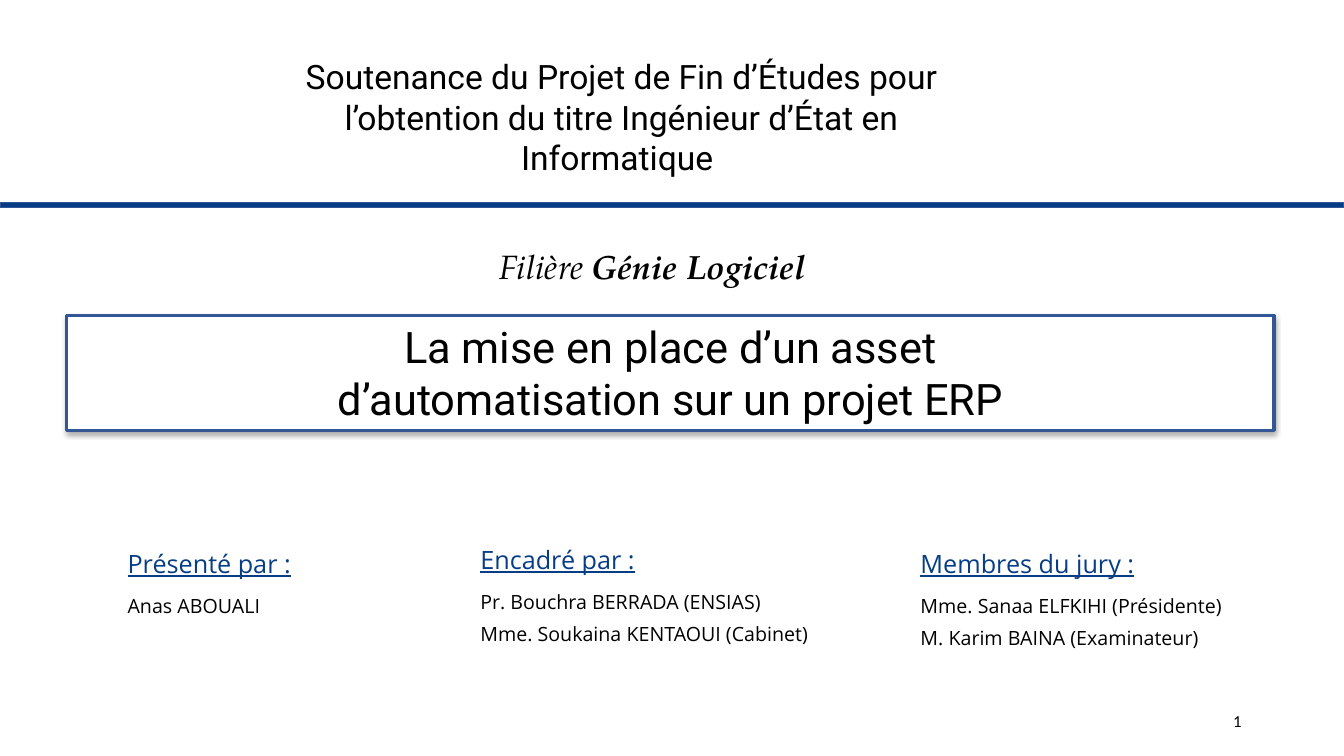
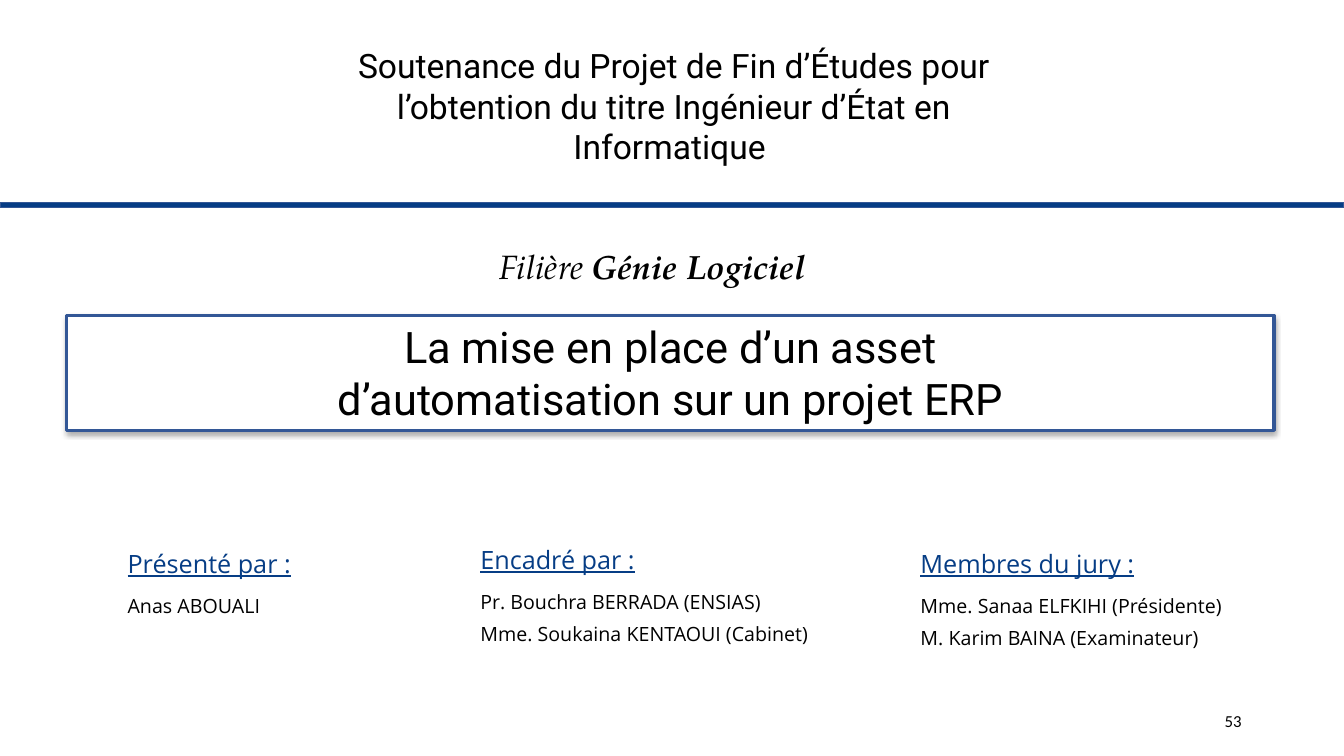
from dataclasses import dataclass

import lxml.etree
import pptx
import pptx.dml.color
import pptx.enum.shapes
import pptx.enum.text
import pptx.oxml.ns
import pptx.util

ALIGN = pptx.enum.text.PP_ALIGN
ANCHOR = pptx.enum.text.MSO_ANCHOR
RECTANGLE = pptx.enum.shapes.MSO_SHAPE.RECTANGLE

# Grid: 80 columns by 45 rows over the whole slide
SLIDE_WIDTH = pptx.util.Inches(13.33)
SLIDE_HEIGHT = pptx.util.Inches(7.5)
COLUMNS, ROWS = 80, 45


@dataclass(frozen=True)
class Theme:
    black: str = "000000"
    white: str = "FFFFFF"
    navy: str = "063D85"
    blue: str = "335796"
    display_font: str = "Roboto"
    body_font: str = "Open Sans"
    serif_font: str = "TeX Gyre Pagella"
    number_font: str = "Calibri"
    subject_size: float = 31
    title_size: float = 24
    heading_size: float = 18
    name_size: float = 14
    number_size: float = 12
    heading_gap: float = 11
    name_gap: float = 6


THEME = Theme()


@dataclass(frozen=True)
class Area:
    column: float
    row: float
    columns: float
    rows: float

    def box(self) -> tuple[int, int, int, int]:
        """Left, top, width and height in slide units."""
        cell_width, cell_height = SLIDE_WIDTH / COLUMNS, SLIDE_HEIGHT / ROWS
        return (round(self.column * cell_width), round(self.row * cell_height),
                round(self.columns * cell_width), round(self.rows * cell_height))


@dataclass(frozen=True)
class Run:
    text: str
    size: float
    font: str
    color: str = THEME.black
    bold: bool = False
    italic: bool = False
    underline: bool = False


@dataclass(frozen=True)
class Line:
    runs: tuple[Run, ...]
    space_before: float = 0


@dataclass(frozen=True)
class People:
    heading: str
    names: tuple[str, ...]
    area: Area


@dataclass(frozen=True)
class Cover:
    title_area: Area
    number: str


# Content
TITLE = ("Soutenance du Projet de Fin d’Études pour l’obtention du titre "
         "Ingénieur d’État en Informatique ")
SUBJECT = ("La mise en place d’un asset", "d’automatisation sur un projet ERP")
PEOPLE = (
    People("Présenté par :", ("Anas ABOUALI",), Area(7, 32.34, 20, 5)),
    People("Encadré par :",
           ("Pr. Bouchra BERRADA (ENSIAS)", "Mme. Soukaina KENTAOUI (Cabinet)"),
           Area(28, 32.1, 24, 7)),
    People("Membres du jury :",
           ("Mme. Sanaa ELFKIHI (Présidente)", "M. Karim BAINA (Examinateur)"),
           Area(54.2, 32.34, 25.8, 7)),
)
COVERS = (
    Cover(Area(16.92, 3.06, 40.14, 7.86), "1"),
    Cover(Area(20.04, 2.4, 40.14, 7.86), "53"),
)
RULE_AREA = Area(0, 12.06, COLUMNS, 0.3)
FIELD_AREA = Area(29, 14.34, 19.68, 3)
SUBJECT_AREA = Area(3.96, 18.78, 71.88, 6.84)
NUMBER_AREA = Area(56.5, 41.7, 18, 2.4)


def rgb(value: str) -> pptx.dml.color.RGBColor:
    return pptx.dml.color.RGBColor.from_string(value)


# Drawing helpers
def write(shape, lines: list[Line], align=ALIGN.LEFT, anchor=ANCHOR.TOP) -> None:
    frame = shape.text_frame
    frame.word_wrap = True
    frame.vertical_anchor = anchor
    for index, line in enumerate(lines):
        paragraph = frame.add_paragraph() if index else frame.paragraphs[0]
        paragraph.alignment = align
        paragraph.space_before = pptx.util.Pt(line.space_before)
        for item in line.runs:
            run = paragraph.add_run()
            run.text = item.text
            run.font.name = item.font
            run.font.size = pptx.util.Pt(item.size)
            run.font.color.rgb = rgb(item.color)
            run.font.bold = item.bold
            run.font.italic = item.italic
            run.font.underline = item.underline


def add_text(slide, area: Area, lines: list[Line], align=ALIGN.LEFT,
             anchor=ANCHOR.TOP) -> None:
    write(slide.shapes.add_textbox(*area.box()), lines, align, anchor)


def add_rectangle(slide, area: Area, fill: str, line_width: float):
    shape = slide.shapes.add_shape(RECTANGLE, *area.box())
    shape.shadow.inherit = False
    shape.fill.solid()
    shape.fill.fore_color.rgb = rgb(fill)
    shape.line.color.rgb = rgb(THEME.blue)
    shape.line.width = pptx.util.Pt(line_width)
    return shape


def add_soft_shadow(shape) -> None:
    qualified = pptx.oxml.ns.qn
    effects = shape.fill._xPr.find(qualified("a:effectLst"))
    shadow = lxml.etree.SubElement(
        effects, qualified("a:outerShdw"), blurRad=str(pptx.util.Pt(3.5)),
        dist=str(pptx.util.Pt(2.2)), dir="5400000", algn="t", rotWithShape="0")
    color = lxml.etree.SubElement(shadow, qualified("a:srgbClr"), val=THEME.black)
    lxml.etree.SubElement(color, qualified("a:alpha"), val="32000")


def add_people(slide, people: People) -> None:
    heading = Run(people.heading, THEME.heading_size, THEME.body_font,
                  THEME.navy, underline=True)
    lines = [Line((heading,))]
    for index, name in enumerate(people.names):
        gap = THEME.name_gap if index else THEME.heading_gap
        lines.append(Line((Run(name, THEME.name_size, THEME.body_font),), gap))
    add_text(slide, people.area, lines)


def add_cover(presentation, cover: Cover) -> None:
    slide = presentation.slides.add_slide(presentation.slide_layouts[6])

    # Title above the rule
    title = Run(TITLE, THEME.title_size, THEME.display_font)
    add_text(slide, cover.title_area, [Line((title,))], ALIGN.CENTER)
    add_rectangle(slide, RULE_AREA, THEME.navy, 1)

    # Field of study
    field = (Run("Filière ", THEME.title_size, THEME.serif_font, italic=True),
             Run("Génie Logiciel", THEME.title_size, THEME.serif_font,
                 bold=True, italic=True))
    add_text(slide, FIELD_AREA, [Line(field)], ALIGN.CENTER)

    # Framed subject
    subject = add_rectangle(slide, SUBJECT_AREA, THEME.white, 2.25)
    add_soft_shadow(subject)
    write(subject, [Line((Run(text, THEME.subject_size, THEME.display_font),))
                    for text in SUBJECT], ALIGN.CENTER)

    # People and slide number
    for people in PEOPLE:
        add_people(slide, people)
    number = Run(cover.number, THEME.number_size, THEME.number_font)
    add_text(slide, NUMBER_AREA, [Line((number,))], ALIGN.RIGHT, ANCHOR.MIDDLE)


def main() -> None:
    presentation = pptx.Presentation()
    presentation.slide_width = SLIDE_WIDTH
    presentation.slide_height = SLIDE_HEIGHT
    for cover in COVERS:
        add_cover(presentation, cover)
    presentation.save("out.pptx")


if __name__ == "__main__":
    main()
